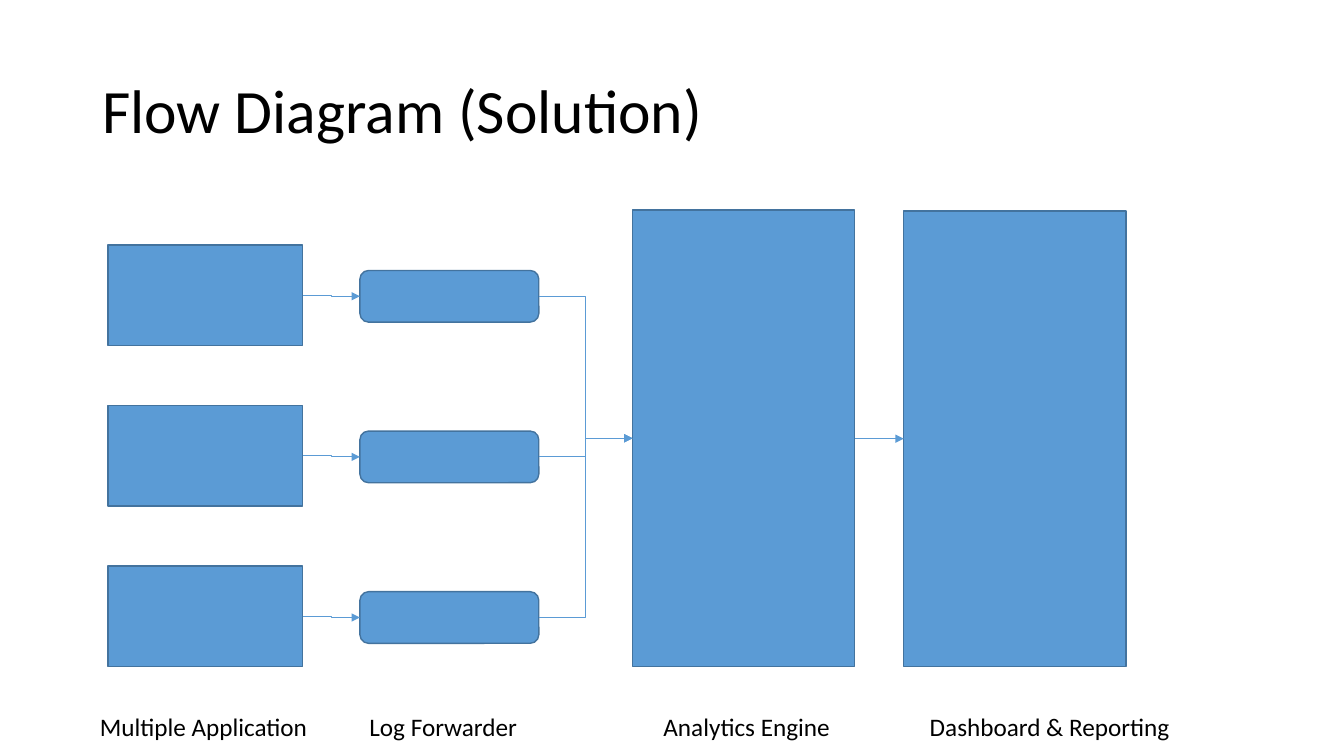
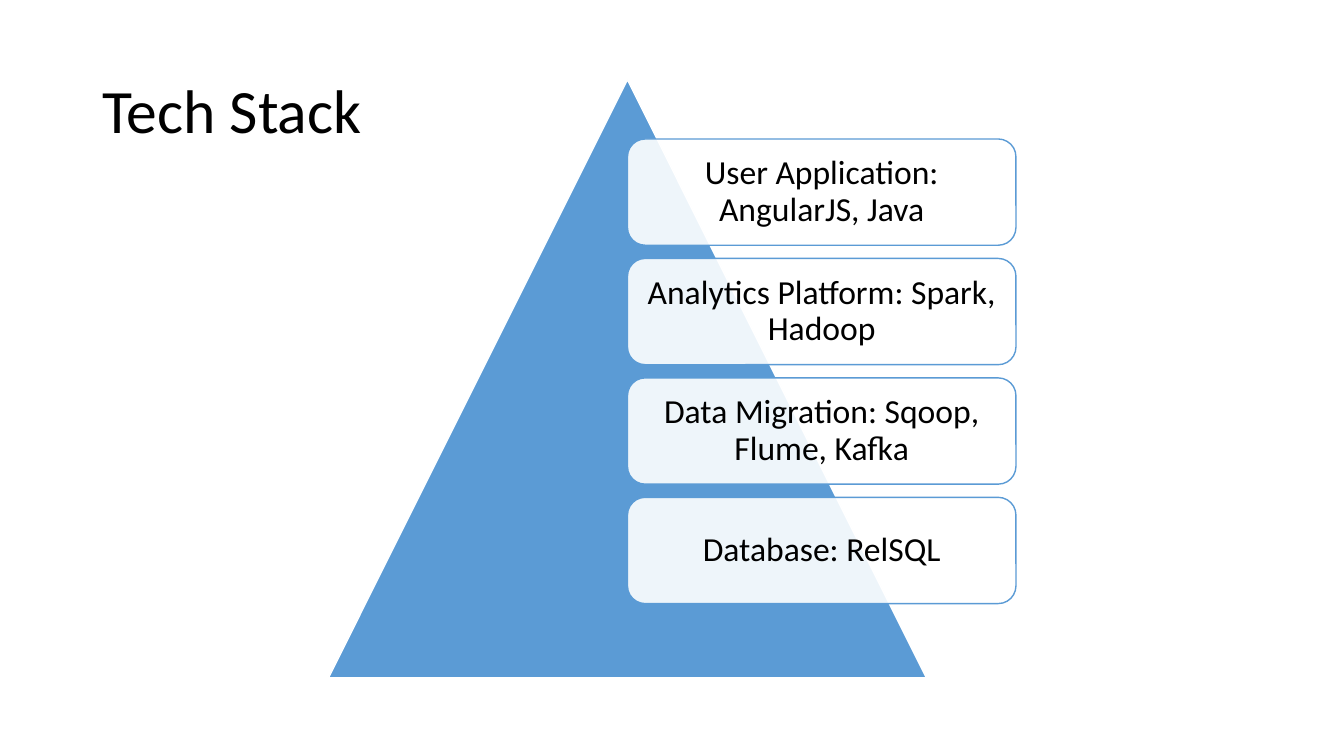
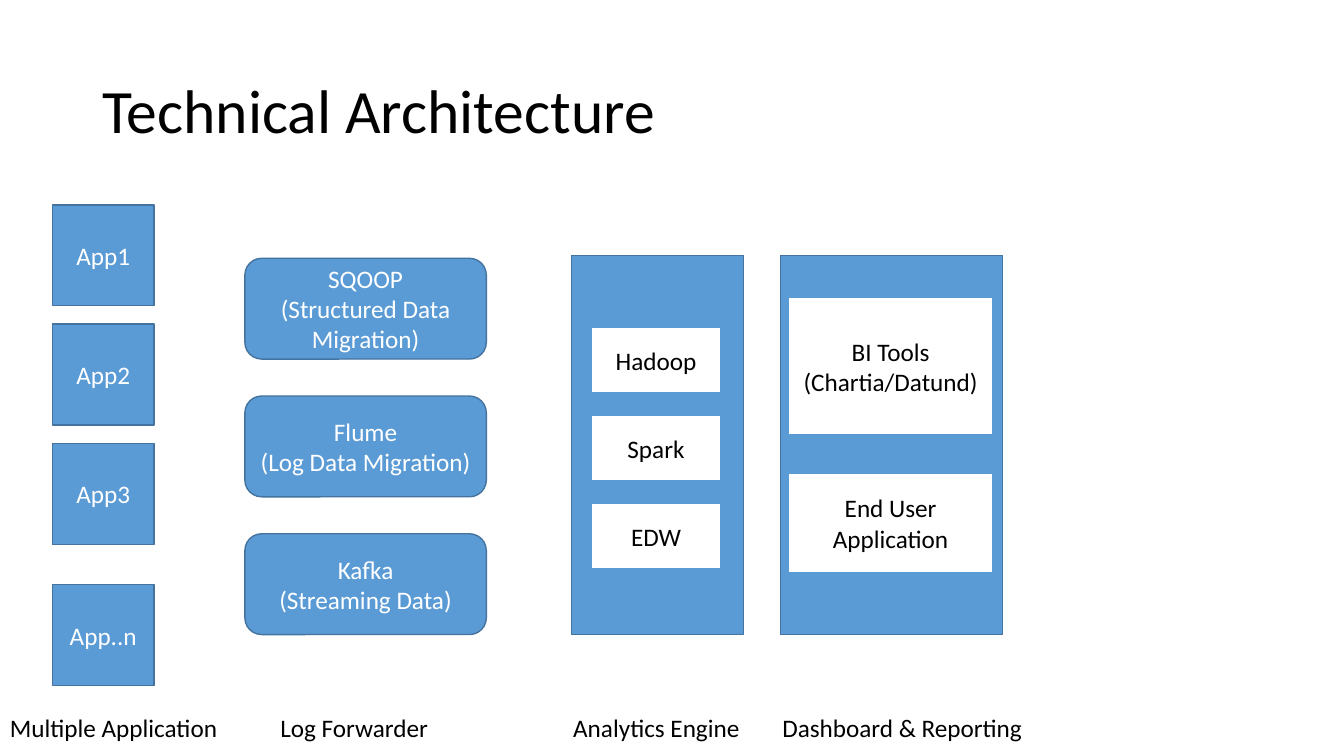
from dataclasses import dataclass, replace

from lxml import etree
from pptx import Presentation
from pptx.dml.color import RGBColor
from pptx.enum.shapes import MSO_CONNECTOR, MSO_SHAPE
from pptx.enum.text import MSO_ANCHOR, MSO_AUTO_SIZE, PP_ALIGN
from pptx.oxml.ns import qn
from pptx.util import Emu, Inches, Pt

RECT, ROUND = MSO_SHAPE.RECTANGLE, MSO_SHAPE.ROUNDED_RECTANGLE
TRIANGLE = MSO_SHAPE.ISOSCELES_TRIANGLE
ELBOW = MSO_CONNECTOR.ELBOW
LEFT, CENTER = PP_ALIGN.LEFT, PP_ALIGN.CENTER
TOP, MIDDLE = MSO_ANCHOR.TOP, MSO_ANCHOR.MIDDLE
FIT_TEXT = MSO_AUTO_SIZE.SHAPE_TO_FIT_TEXT
LEFT_SITE, RIGHT_SITE = 1, 3

FONT = "Calibri"
BLUE, EDGE, WHITE, BLACK = "5B9BD5", "43739E", "FFFFFF", "000000"
COLUMNS, ROWS = 160, 90
LABEL_WIDTHS = {
    "Multiple Application": 27.5,
    "Log Forwarder": 20.2,
    "Analytics Engine": 22.4,
    "Dashboard & Reporting": 31.3,
}

prs = Presentation()
prs.slide_width, prs.slide_height = Inches(13.333), Inches(7.5)


@dataclass(frozen=True)
class Box:
    col: float
    row: float
    cols: float
    rows: float

    def emu(self) -> list[Emu]:
        w, h = prs.slide_width / COLUMNS, prs.slide_height / ROWS
        return [Emu(round(n)) for n in (self.col * w, self.row * h, self.cols * w, self.rows * h)]

    def down(self, step: float, count: int) -> list["Box"]:
        return [replace(self, row=self.row + i * step) for i in range(count)]


@dataclass(frozen=True)
class Style:
    shape: int
    fill: str = BLUE
    line: str = EDGE
    color: str = WHITE
    size: int = 18
    opacity: int = 100
    spacing: float = 1.0
    inset: float = 0.1


BLOCK, PILL = Style(RECT), Style(ROUND)
INNER = Style(RECT, fill=WHITE, line=BLUE, color=BLACK)
PEAK = Style(TRIANGLE, line=WHITE)
LAYER = Style(ROUND, fill=WHITE, line=BLUE, color=BLACK, size=24, opacity=90, spacing=0.9)


def rgb(color: str) -> RGBColor:
    return RGBColor.from_string(color)


def write(tf, text: str, *, size: int = 18, color: str = BLACK, align=LEFT,
          anchor=TOP, spacing: float = 1.0, wrap: bool = True) -> None:
    tf.word_wrap = wrap
    tf.vertical_anchor = anchor
    for i, line in enumerate(text.split("\n")):
        p = tf.add_paragraph() if i else tf.paragraphs[0]
        p.alignment = align
        p.line_spacing = spacing
        r = p.add_run()
        r.text = line
        r.font.name, r.font.size = FONT, Pt(size)
        r.font.color.rgb = rgb(color)


def new_slide(title: str):
    s = prs.slides.add_slide(prs.slide_layouts[6])
    s.background.fill.solid()
    s.background.fill.fore_color.rgb = rgb(WHITE)
    tb = s.shapes.add_textbox(*Box(11, 4.8, 138, 17.4).emu())
    write(tb.text_frame, title, size=44, anchor=MIDDLE, spacing=0.9)
    return s


def draw(s, box: Box, style: Style, text: str = ""):
    sp = s.shapes.add_shape(style.shape, *box.emu())
    sp.shadow.inherit = False
    sp.fill.solid()
    sp.fill.fore_color.rgb = rgb(style.fill)
    if style.opacity < 100:
        clr = sp.fill._xPr.find(qn("a:solidFill"))[0]
        etree.SubElement(clr, qn("a:alpha")).set("val", str(style.opacity * 1000))
    sp.line.color.rgb = rgb(style.line)
    sp.line.width = Pt(1)
    if text:
        tf = sp.text_frame
        if style is LAYER:
            tf.margin_top = tf.margin_bottom = Inches(style.inset)
        write(tf, text, size=style.size, color=style.color, align=CENTER,
              anchor=MIDDLE, spacing=style.spacing)
    return sp


def stack(s, first: Box, step: float, style: Style, texts: list[str]) -> list:
    return [draw(s, b, style, t) for b, t in zip(first.down(step, len(texts)), texts)]


def arrow(s, source, target) -> None:
    c = s.shapes.add_connector(ELBOW, 0, 0, 0, 0)
    c.begin_connect(source, RIGHT_SITE)
    c.end_connect(target, LEFT_SITE)
    c.line.color.rgb = rgb(BLUE)
    c.line.width = Pt(0.5)
    etree.SubElement(c.line._get_or_add_ln(), qn("a:tailEnd")).set("type", "triangle")
    etree.SubElement(c._element.spPr, qn("a:effectLst"))


def labels(s, row: float, cols: list[float]) -> None:
    for col, (text, width) in zip(cols, LABEL_WIDTHS.items()):
        tb = s.shapes.add_textbox(*Box(col, row, width, 4.85).emu())
        write(tb.text_frame, text, wrap=False)
        tb.text_frame.auto_size = FIT_TEXT


def flow_diagram() -> None:
    s = new_slide("Flow Diagram (Solution)")
    apps = stack(s, Box(12.84, 29.15, 23.2, 12), 19.12, BLOCK, [""] * 3)
    forwarders = stack(s, Box(42.85, 32.2, 21.3, 6.15), 19.12, PILL, [""] * 3)
    engine = draw(s, Box(75.3, 25, 26.45, 54.35), BLOCK)
    dashboard = draw(s, Box(107.6, 25.1, 26.45, 54.25), BLOCK)
    for app, forwarder in zip(apps, forwarders):
        arrow(s, app, forwarder)
        arrow(s, forwarder, engine)
    arrow(s, engine, dashboard)
    labels(s, 84.1, [10.7, 42.8, 77.8, 109.5])


def tech_stack() -> None:
    s = new_slide("Tech Stack")
    draw(s, Box(39.1, 9.5, 71.2, 71.2), PEAK)
    stack(s, Box(74.7, 16.55, 46.25, 12.65), 14.22, LAYER, [
        "User Application: AngularJS, Java",
        "Analytics Platform: Spark, Hadoop",
        "Data Migration: Sqoop, Flume, Kafka",
        "Database: RelSQL",
    ])


def technical_architecture() -> None:
    s = new_slide("Technical Architecture")
    app = Box(6.24, 24.4, 12.1, 12)
    stack(s, app, 14.2, BLOCK, ["App1", "App2", "App3"])
    draw(s, replace(app, row=69.6), BLOCK, "App..n")
    stack(s, Box(29.15, 30.75, 28.75, 12), 16.4, PILL, [
        "SQOOP\n(Structured Data Migration)",
        "Flume\n(Log Data Migration)",
        "Kafka\n(Streaming Data)",
    ])
    draw(s, Box(68, 30.45, 20.5, 45.1), BLOCK)
    stack(s, Box(70.45, 39, 15.3, 7.8), 10.45, INNER, ["Hadoop", "Spark", "EDW"])
    draw(s, Box(92.9, 30.45, 26.45, 45.1), BLOCK)
    draw(s, Box(93.9, 35.4, 24.25, 16.4), INNER, "BI Tools\n(Chartia/Datund)")
    draw(s, Box(93.9, 56.3, 24.25, 11.9), INNER, "End User Application")
    labels(s, 84.2, [0, 32.2, 67.05, 91.95])


flow_diagram()
tech_stack()
technical_architecture()
prs.save("out.pptx")
